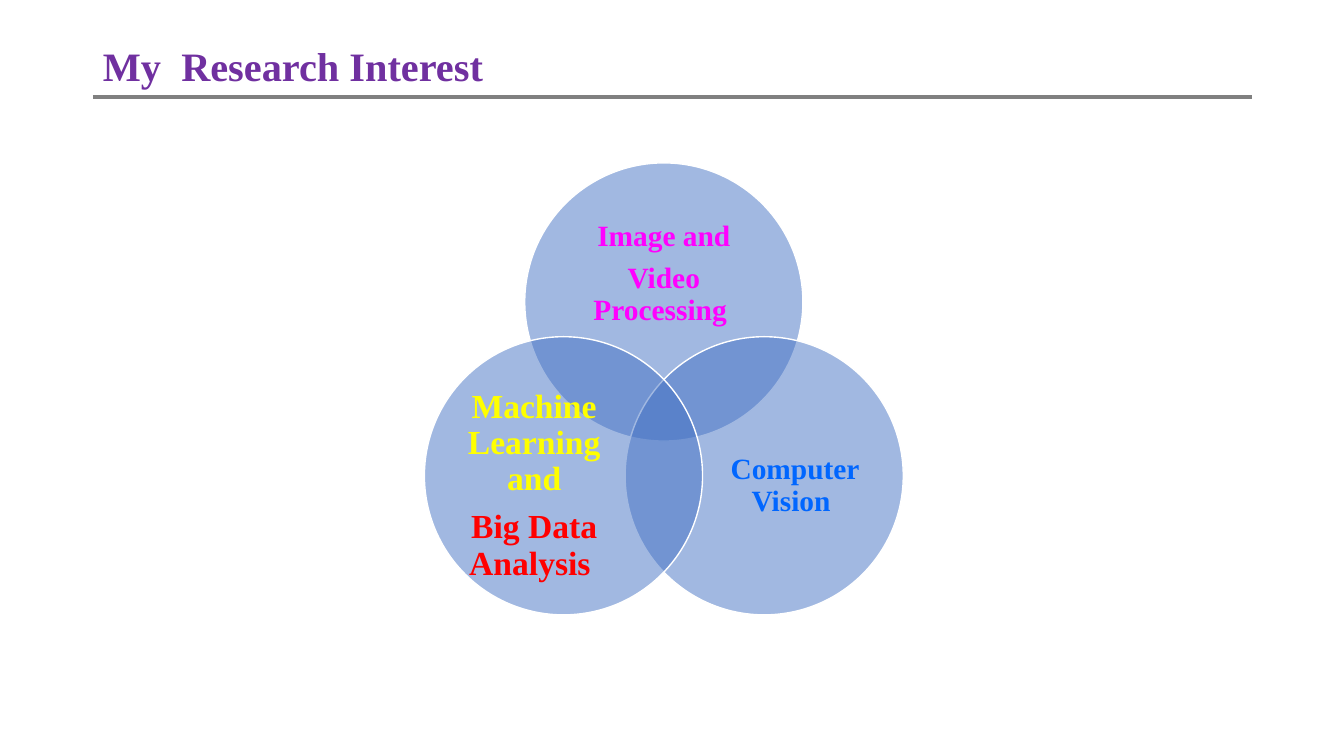
from dataclasses import dataclass
from math import cos, radians, sin

from lxml.etree import SubElement
from pptx import Presentation
from pptx.dml.color import RGBColor
from pptx.enum.shapes import MSO_CONNECTOR, MSO_SHAPE
from pptx.enum.text import MSO_ANCHOR, MSO_AUTO_SIZE, PP_ALIGN
from pptx.oxml.ns import qn
from pptx.slide import Slide
from pptx.util import Cm, Pt

COLORS = {
    "title": "7030A0",
    "rule": "808080",
    "circle": "4472C4",
    "outline": "FFFFFF",
    "video": "FF00FF",
    "vision": "0066FF",
    "learning": "FFFF00",
    "data": "FF0000",
}
FONT = "Times New Roman"
CENTER_X, CENTER_Y = 16.73, 10.53
ORBIT = 2.92
DIAMETER = 7.01


@dataclass(frozen=True)
class Line:
    text: str
    color: str


@dataclass(frozen=True)
class Topic:
    angle: float
    label_shift: tuple[float, float]
    label_size: tuple[float, float]
    font_size: float
    lines: tuple[Line, ...]


TOPICS = (
    Topic(-90, (0, -0.71), (5.16, 3.15), 21,
          (Line("Image and", "video"), Line("Video Processing ", "video"))),
    Topic(30, (0.77, 0.25), (4.22, 3.86), 21,
          (Line("Computer Vision ", "vision"),)),
    Topic(150, (-0.74, 0.25), (4.22, 3.86), 24,
          (Line("Machine Learning and", "learning"),
           Line("Big Data Analysis ", "data"))),
)


def rgb(name: str) -> RGBColor:
    return RGBColor.from_string(COLORS[name])


def format_paragraph(paragraph, size: float, color: str, alignment: PP_ALIGN) -> None:
    paragraph.alignment = alignment
    paragraph.line_spacing = 0.9
    for run in paragraph.runs:
        run.font.name = FONT
        run.font.size = Pt(size)
        run.font.bold = True
        run.font.color.rgb = rgb(color)


def draw_title(slide: Slide, text: str) -> None:
    title = slide.shapes.title
    title.left, title.top = Cm(2.34), Cm(1.02)
    title.width, title.height = Cm(29.21), Cm(1.42)
    text_frame = title.text_frame
    text_frame.text = text
    text_frame.auto_size = MSO_AUTO_SIZE.NONE
    text_frame.vertical_anchor = MSO_ANCHOR.MIDDLE
    format_paragraph(text_frame.paragraphs[0], 28.8, "title", PP_ALIGN.LEFT)


def draw_rule(slide: Slide) -> None:
    rule = slide.shapes.add_connector(
        MSO_CONNECTOR.STRAIGHT, Cm(2.34), Cm(2.44), Cm(31.55), Cm(2.44))
    rule.line.color.rgb = rgb("rule")
    rule.line.width = Pt(3)
    SubElement(rule._element.spPr, qn("a:effectLst"))


def draw_circle(slide: Slide, x: float, y: float) -> None:
    circle = slide.shapes.add_shape(
        MSO_SHAPE.OVAL, Cm(x - DIAMETER / 2), Cm(y - DIAMETER / 2),
        Cm(DIAMETER), Cm(DIAMETER))
    circle.shadow.inherit = False
    circle.fill.solid()
    circle.fill.fore_color.rgb = rgb("circle")
    fill_color = circle._element.spPr.find(qn("a:solidFill")).find(qn("a:srgbClr"))
    SubElement(fill_color, qn("a:alpha"), val="50000")
    circle.line.color.rgb = rgb("outline")
    circle.line.width = Pt(1)


def draw_label(slide: Slide, topic: Topic, x: float, y: float) -> None:
    width, height = topic.label_size
    label = slide.shapes.add_textbox(
        Cm(x - width / 2), Cm(y - height / 2), Cm(width), Cm(height))
    text_frame = label.text_frame
    text_frame.text = "\n".join(line.text for line in topic.lines)
    text_frame.word_wrap = True
    text_frame.vertical_anchor = MSO_ANCHOR.MIDDLE
    text_frame.margin_left = text_frame.margin_right = Cm(0)
    text_frame.margin_top = text_frame.margin_bottom = Cm(0)
    for paragraph, line in zip(text_frame.paragraphs, topic.lines):
        format_paragraph(paragraph, topic.font_size, line.color, PP_ALIGN.CENTER)
        paragraph.space_after = Pt(0.35 * topic.font_size)


def draw_topic(slide: Slide, topic: Topic) -> None:
    x = CENTER_X + ORBIT * cos(radians(topic.angle))
    y = CENTER_Y + ORBIT * sin(radians(topic.angle))
    shift_x, shift_y = topic.label_shift
    draw_circle(slide, x, y)
    draw_label(slide, topic, x + shift_x, y + shift_y)


presentation = Presentation()
presentation.slide_width = Cm(33.87)
presentation.slide_height = Cm(19.05)
slide = presentation.slides.add_slide(presentation.slide_layouts[5])
draw_rule(slide)
draw_title(slide, "My  Research Interest")
for topic in TOPICS:
    draw_topic(slide, topic)
presentation.save("out.pptx")
